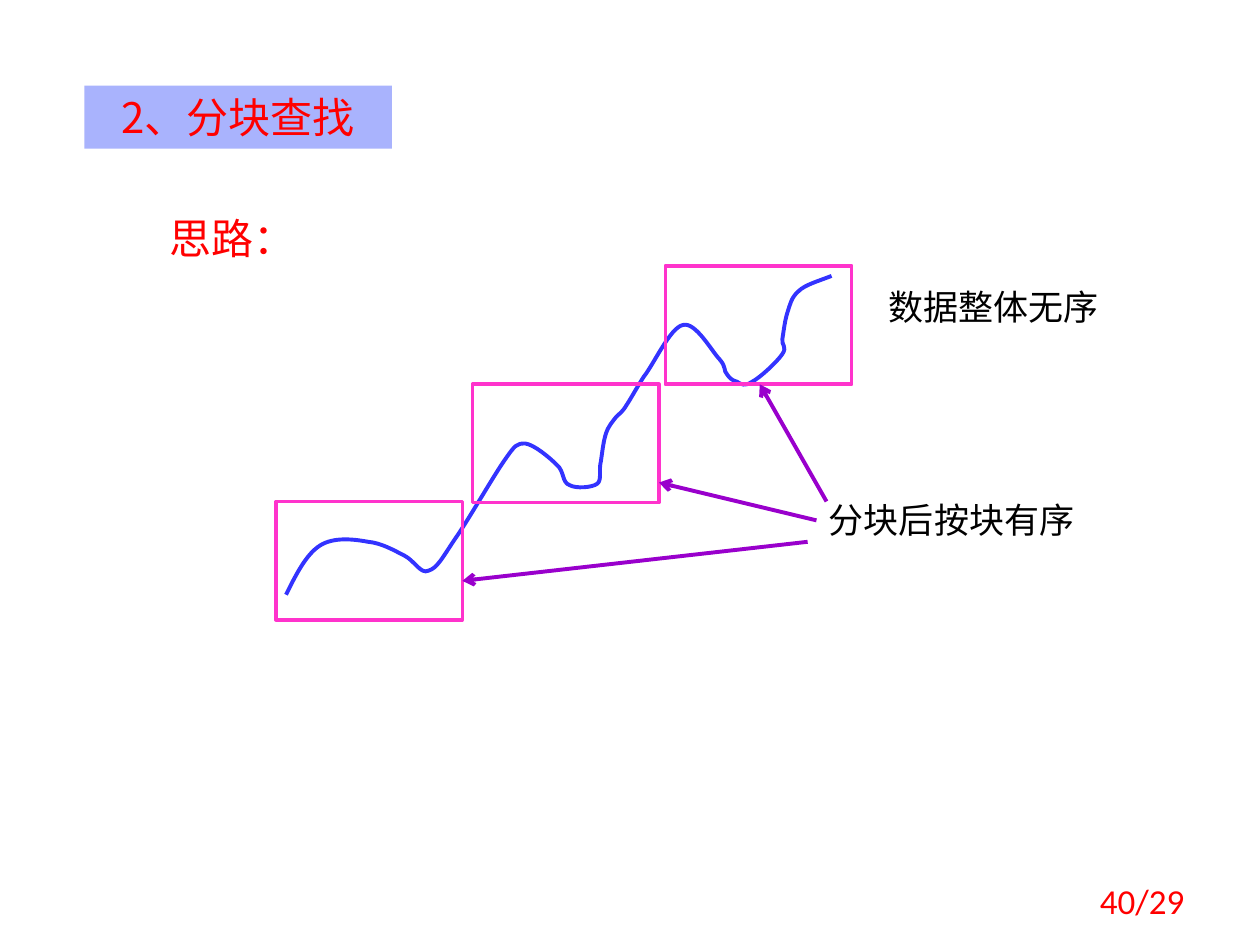
from lxml.etree import SubElement as Sub
from pptx import Presentation
from pptx.dml.color import RGBColor as RGB
from pptx.enum.shapes import MSO_CONNECTOR as Link, MSO_SHAPE as Kind
from pptx.enum.text import MSO_ANCHOR as Anchor, PP_ALIGN as Align
from pptx.oxml.ns import qn
from pptx.util import Pt

PX = 9144  # 100 px to the inch
RED = RGB(0xFF, 0x00, 0x00)
BLACK = RGB(0x00, 0x00, 0x00)
LILAC = RGB(0xA9, 0xB3, 0xFD)
BLUE = RGB(0x33, 0x33, 0xFF)
PINK = RGB(0xFF, 0x33, 0xCC)
PURPLE = RGB(0x99, 0x00, 0xCC)
HAN = "Noto Sans CJK SC"

BLOCK = (148, 94)
BLOCKS = [(219, 398), (375, 305), (528, 211)]
ARROWS = [(641, 430, 367, 461), (648, 413, 523, 383), (656, 398, 603, 305)]
START = (227, 472)
# Each row is one Bezier piece: two control points and an end point.
CURVE = [
    (235, 456, 243, 440, 254, 433),
    (265, 426, 281, 428, 292, 430),
    (303, 431, 313, 437, 321, 441),
    (329, 445, 334, 456, 340, 453),
    (347, 451, 351, 443, 361, 428),
    (371, 414, 391, 379, 400, 366),
    (409, 353, 410, 352, 417, 352),
    (424, 353, 436, 363, 442, 369),
    (448, 374, 446, 383, 452, 385),
    (457, 388, 470, 387, 474, 384),
    (478, 381, 475, 373, 477, 366),
    (478, 359, 479, 350, 481, 344),
    (483, 338, 486, 335, 489, 331),
    (492, 328, 494, 327, 497, 322),
    (501, 316, 504, 310, 511, 299),
    (519, 289, 532, 260, 542, 258),
    (552, 255, 565, 279, 571, 285),
    (577, 292, 574, 294, 577, 297),
    (579, 300, 581, 302, 585, 303),
    (588, 305, 591, 307, 597, 303),
    (603, 300, 617, 287, 621, 281),
    (625, 275, 620, 274, 621, 269),
    (622, 263, 623, 254, 625, 248),
    (627, 242, 628, 236, 634, 231),
    (639, 226, 650, 223, 660, 219),
]


def emu(*sizes):
    return [size * PX for size in sizes]


def write(shape, text, size, color, face=HAN, align=Align.LEFT, anchor=Anchor.TOP):
    frame = shape.text_frame
    frame.word_wrap = True
    frame.vertical_anchor = anchor
    para = frame.paragraphs[0]
    para.alignment = align
    run = para.add_run()
    run.text = text
    font = run.font
    for name, value in {"size": Pt(size), "name": face}.items():
        setattr(font, name, value)
    font.color.rgb = color
    Sub(run._r.get_or_add_rPr(), qn("a:ea"), typeface=face)


def stroke(shape, color, width):
    shape.line.color.rgb = color
    shape.line.width = Pt(width)


def label(shapes, box, text, size, color, **style):
    write(shapes.add_textbox(*emu(*box)), text, size, color, **style)


def title(shapes, box, text):
    shape = shapes.add_shape(Kind.RECTANGLE, *emu(*box))
    shape.shadow.inherit = False
    shape.fill.solid()
    shape.fill.fore_color.rgb = LILAC
    shape.line.fill.background()
    write(shape, text, 24, RED, align=Align.CENTER)


def curve(shapes):
    """Draw the points as a path, then turn each three of them into a Bezier."""
    build = shapes.build_freeform(*START, scale=PX)
    build.add_line_segments(
        [row[i:i + 2] for row in CURVE for i in (0, 2, 4)], close=False)
    shape = build.convert_to_shape()
    shape.shadow.inherit = False
    shape.fill.background()
    stroke(shape, BLUE, 2.25)
    lines = list(shape._element.iter(qn("a:lnTo")))
    track = lines[0].getparent()
    for i in range(0, len(lines), 3):
        bend = Sub(track, qn("a:cubicBezTo"))
        for line in lines[i:i + 3]:
            bend.append(line[0])
            track.remove(line)


def block(shapes, spot):
    shape = shapes.add_shape(Kind.RECTANGLE, *emu(*spot, *BLOCK))
    shape.shadow.inherit = False
    shape.fill.background()
    stroke(shape, PINK, 2)


def arrow(shapes, ends):
    line = shapes.add_connector(Link.STRAIGHT, *emu(*ends))
    stroke(line, PURPLE, 2.25)
    Sub(line.line._get_or_add_ln(), qn("a:tailEnd"), type="arrow")
    Sub(line._element.spPr, qn("a:effectLst"))


def main():
    deck = Presentation()
    deck.slide_width, deck.slide_height = emu(1000, 750)
    shapes = deck.slides.add_slide(deck.slide_layouts[6]).shapes
    label(shapes, (125, 164, 152, 50), "思路：", 24, RED)
    title(shapes, (67, 68, 244, 50), "2、分块查找")
    curve(shapes)
    blocks = shapes.add_group_shape().shapes
    for spot in BLOCKS:
        block(blocks, spot)
    label(shapes, (695, 222, 211, 44), "数据整体无序", 20, BLACK)
    order = shapes.add_group_shape().shapes
    label(order, (648, 391, 258, 44), "分块后按块有序", 20, BLACK)
    for ends in ARROWS:
        arrow(order, ends)
    label(shapes, (717, 695, 233, 40), "40/29", 20, RED, face="Calibri",
          align=Align.RIGHT, anchor=Anchor.MIDDLE)
    deck.save("out.pptx")


if __name__ == "__main__":
    main()
